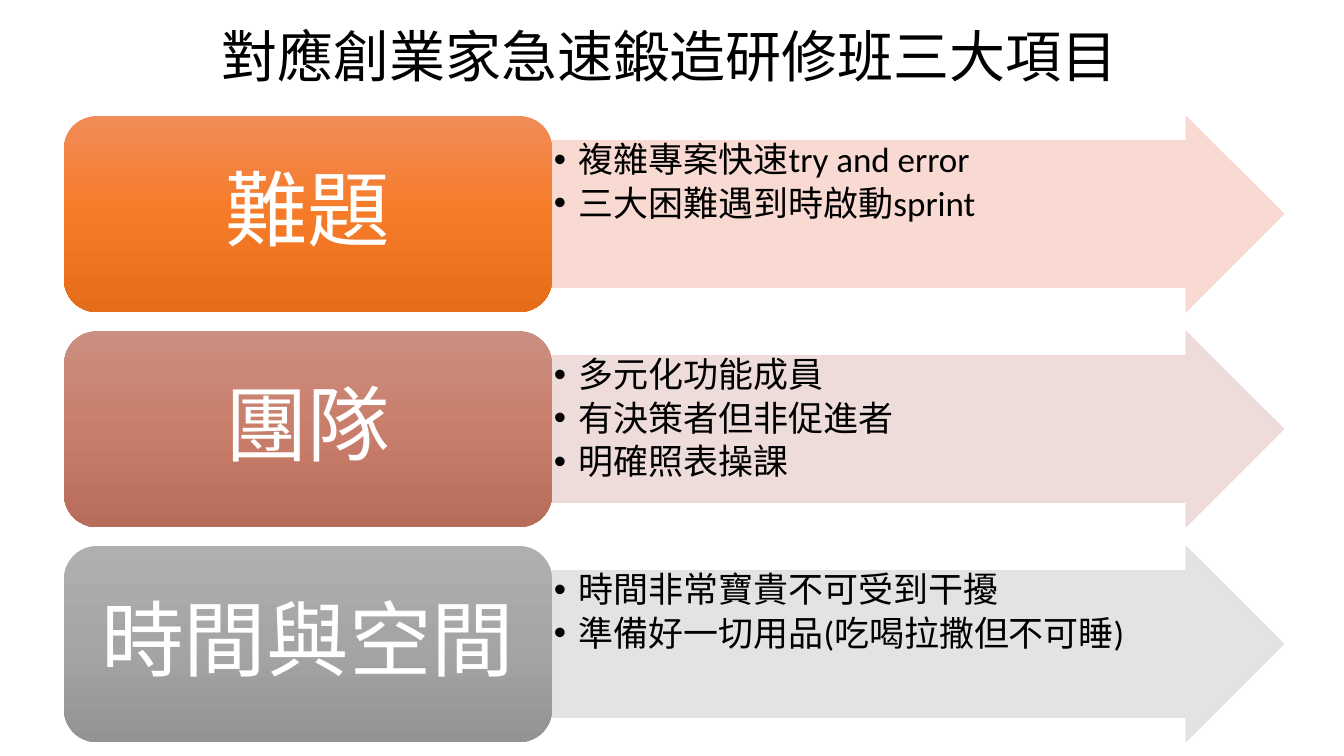
"""Build a slide of three labelled arrows for the three parts of a training class."""
from copy import deepcopy

from lxml.etree import SubElement
from pptx import Presentation
from pptx.dml.color import RGBColor
from pptx.enum.shapes import MSO_SHAPE
from pptx.enum.text import MSO_ANCHOR, MSO_AUTO_SIZE, PP_ALIGN
from pptx.oxml.ns import qn
from pptx.util import Emu, Pt

BLACK = RGBColor(0x00, 0x00, 0x00)
WHITE = RGBColor(0xFF, 0xFF, 0xFF)
ORANGE = [RGBColor.from_string(code) for code in ("F18C57", "F67B28", "E56C19")]
ROSE = [RGBColor.from_string(code) for code in ("CB8F81", "C97E6B", "B76D5B")]
GRAY = [RGBColor.from_string(code) for code in ("AFAFAF", "A5A5A5", "939393")]
PALE_ORANGE = RGBColor(0xF8, 0xD7, 0xCE)
PALE_ROSE = RGBColor(0xED, 0xD9, 0xD7)
PALE_GRAY = RGBColor(0xE1, 0xE1, 0xE1)

TITLE = "對應創業家急速鍛造研修班三大項目"
TOPICS = [
    ("難題", ["複雜專案快速try and error", "三大困難遇到時啟動sprint"], ORANGE, PALE_ORANGE),
    ("團隊", ["多元化功能成員", "有決策者但非促進者", "明確照表操課"], ROSE, PALE_ROSE),
    ("時間與空間", ["時間非常寶貴不可受到干擾", "準備好一切用品(吃喝拉撒但不可睡)"], GRAY, PALE_GRAY),
]

FONT = "Calibri"
EMU_PER_PX = 914400 / 100.8
SLIDE_SIZE = (1344, 756)
TITLE_BOX = (212, 17, 925, 78)
LEFT, TOP = 64, 116
LABEL_WIDTH, ARROW_WIDTH = 488, 732
ROW_HEIGHT, ROW_PITCH = 196, 215
BULLET_INDENT = 25


def px(length):
    return Emu(round(length * EMU_PER_PX))


def set_margins(text_frame, horizontal, vertical):
    text_frame.margin_left = text_frame.margin_right = px(horizontal)
    text_frame.margin_top = text_frame.margin_bottom = px(vertical)


def style_paragraph(paragraph, size, color, space_after=0):
    paragraph.line_spacing = 0.9
    paragraph.space_after = Pt(space_after)
    for run in paragraph.runs:
        run.font.name = FONT
        run.font.size = Pt(size)
        run.font.color.rgb = color


def add_bullet(paragraph):
    properties = paragraph._p.get_or_add_pPr()
    properties.set("marL", str(px(BULLET_INDENT)))
    properties.set("indent", str(-px(BULLET_INDENT)))
    SubElement(properties, qn("a:buFont")).set("typeface", "Arial")
    SubElement(properties, qn("a:buChar")).set("char", "•")


def fill_gradient(shape, colors):
    shape.fill.gradient()
    shape.fill.gradient_angle = 270
    stop_list = shape._element.spPr.find(".//" + qn("a:gsLst"))
    stop_list.append(deepcopy(stop_list[0]))
    for stop, position, color in zip(shape.fill.gradient_stops, (0, 0.5, 1), colors):
        stop.position = position
        stop.color.rgb = color


def add_arrow(slide, top, items, color):
    arrow = slide.shapes.add_shape(
        MSO_SHAPE.RIGHT_ARROW, px(LEFT + LABEL_WIDTH), px(top), px(ARROW_WIDTH), px(ROW_HEIGHT))
    arrow.adjustments[0] = 0.75
    arrow.adjustments[1] = 0.5
    arrow.shadow.inherit = False
    arrow.fill.solid()
    arrow.fill.fore_color.rgb = color
    arrow.line.color.rgb = color
    arrow.line.width = Pt(0.5)
    for color_element in arrow._element.spPr.iter(qn("a:srgbClr")):
        SubElement(color_element, qn("a:alpha")).set("val", "90000")
    text_frame = arrow.text_frame
    text_frame.word_wrap = True
    text_frame.vertical_anchor = MSO_ANCHOR.TOP
    set_margins(text_frame, 2, 2)
    text_frame.text = "\n".join(items)
    for paragraph in text_frame.paragraphs:
        paragraph.alignment = PP_ALIGN.LEFT
        style_paragraph(paragraph, 25, BLACK, space_after=4)
        add_bullet(paragraph)


def add_label(slide, top, label, colors):
    box = slide.shapes.add_shape(
        MSO_SHAPE.ROUNDED_RECTANGLE, px(LEFT), px(top), px(LABEL_WIDTH), px(ROW_HEIGHT))
    box.shadow.inherit = False
    box.line.fill.background()
    fill_gradient(box, colors)
    text_frame = box.text_frame
    text_frame.word_wrap = True
    text_frame.vertical_anchor = MSO_ANCHOR.MIDDLE
    set_margins(text_frame, 12, 12)
    text_frame.text = label
    paragraph = text_frame.paragraphs[0]
    paragraph.alignment = PP_ALIGN.CENTER
    style_paragraph(paragraph, 59, WHITE)


def add_title(slide):
    text_frame = slide.shapes.add_textbox(*map(px, TITLE_BOX)).text_frame
    text_frame.word_wrap = False
    text_frame.auto_size = MSO_AUTO_SIZE.SHAPE_TO_FIT_TEXT
    text_frame.text = TITLE
    paragraph = text_frame.paragraphs[0]
    style_paragraph(paragraph, 40, BLACK)
    paragraph.line_spacing = 1.0


def main():
    presentation = Presentation()
    presentation.slide_width, presentation.slide_height = map(px, SLIDE_SIZE)
    slide = presentation.slides.add_slide(presentation.slide_layouts[6])
    for row, (label, items, label_colors, arrow_color) in enumerate(TOPICS):
        top = TOP + row * ROW_PITCH
        add_arrow(slide, top, items, arrow_color)
        add_label(slide, top, label, label_colors)
    add_title(slide)
    presentation.save("out.pptx")


if __name__ == "__main__":
    main()
